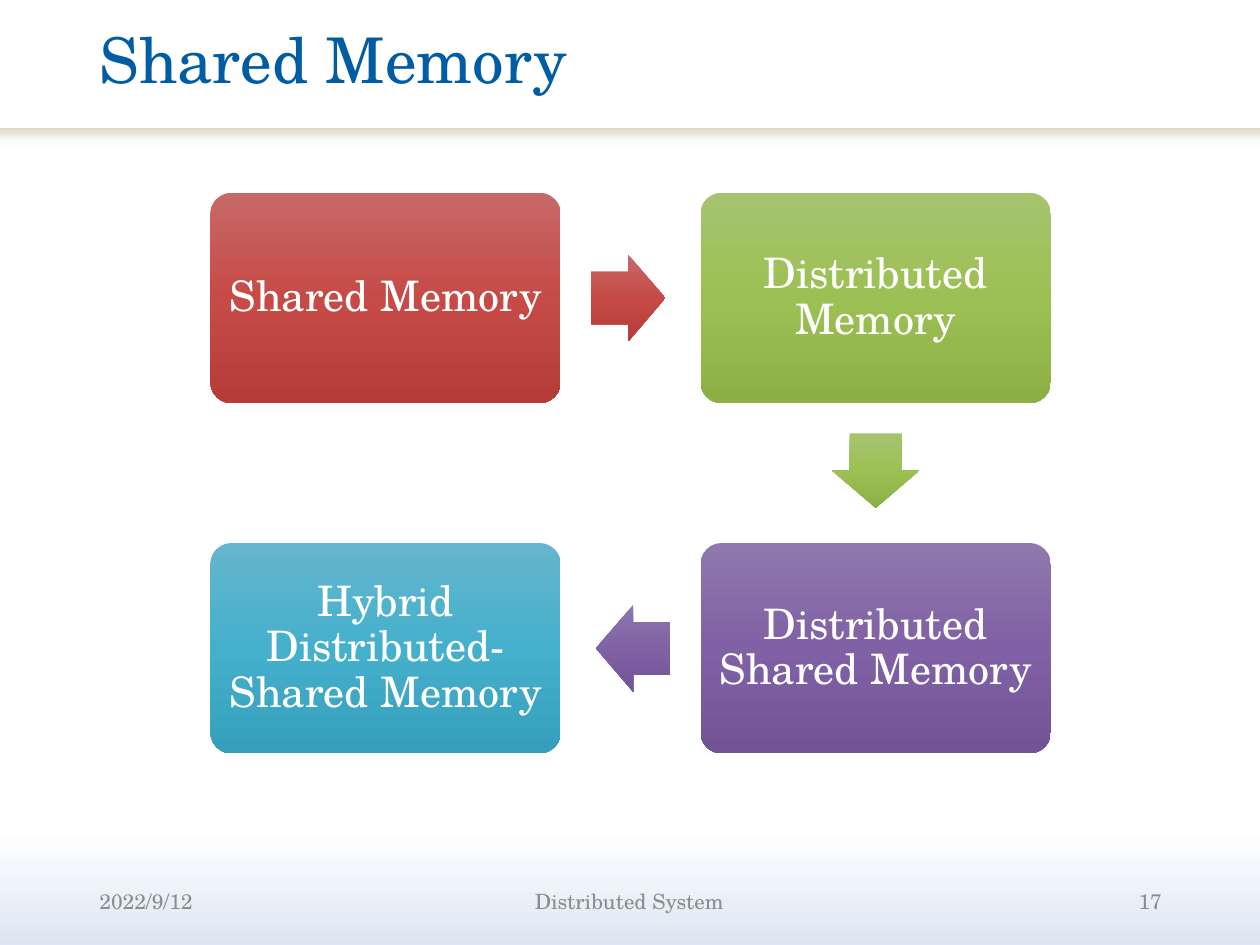
"""Build the Shared Memory slide: four memory models in a clockwise flow."""
import pptx
import pptx.dml.color
import pptx.enum.shapes
import pptx.enum.text
import pptx.oxml
import pptx.oxml.ns
import pptx.util

Inches = pptx.util.Inches
Shape = pptx.enum.shapes.MSO_SHAPE
Align = pptx.enum.text.PP_ALIGN
qn = pptx.oxml.ns.qn

FONT = "TeX Gyre Schola"
COLORS = {"title": "005DA3", "footer": "8C8C8C", "model": "FFFFFF"}
GRADIENTS = {
    "page": [(0, "FFFFFF"), (88, "FFFFFF"), (100, "DCE6F2")],
    "band": [(0, "FFFFFF"), (45, "FBFBFB"), (100, "DDD9C3")],
    "red": [(0, "C76967"), (50, "C64B47"), (100, "B63C39")],
    "green": [(0, "A6C36F"), (50, "9DC054"), (100, "8DB045")],
    "purple": [(0, "8E78AC"), (50, "8061A5"), (100, "715396")],
    "blue": [(0, "66B5CD"), (50, "45B0CC"), (100, "36A0BC")],
}
TITLE = "Shared Memory"
MODELS = [
    ("Shared Memory", "red", (0, 0), (1, 0)),
    ("Distributed Memory", "green", (1, 0), (0, 1)),
    ("Distributed Shared Memory", "purple", (1, 1), (-1, 0)),
    ("Hybrid Distributed-Shared Memory", "blue", (0, 1), None),
]
FOOTERS = [
    ("2022/9/12", 0.69, 2.08, Align.LEFT),
    ("Distributed System", 2.76, 4.47, Align.CENTER),
    ("17", 7.24, 2.08, Align.RIGHT),
]
ORIGIN = (1.67, 1.53)
BOX = (2.78, 1.67)
PITCH = (3.89, 2.78)
ARROW = (0.59, 0.69)
ARROW_SHIFT = 0.02
TURNS = {(1, 0): 0, (0, 1): 90, (-1, 0): 180}


def paint(fill, element, gradient, angle=90):
    fill.gradient()
    fill.gradient_angle = 360 - angle
    grad = next(element.iter(qn("a:gradFill")))
    grad.set("rotWithShape", "0")
    stops = grad.find(qn("a:gsLst"))
    for stop in list(stops):
        stops.remove(stop)
    for position, color in GRADIENTS[gradient]:
        stops.append(pptx.oxml.parse_xml(
            f'<a:gs {pptx.oxml.ns.nsdecls("a")} pos="{position * 1000}">'
            f'<a:srgbClr val="{color}"/></a:gs>'))


def add_block(slide, kind, box, gradient, angle=90):
    block = slide.shapes.add_shape(kind, *map(Inches, box))
    block.shadow.inherit = False
    block.line.fill.background()
    paint(block.fill, block._element, gradient, angle)
    return block


def write(shape, text, role, size, align, spacing=None):
    frame = shape.text_frame
    frame.text = text
    frame.word_wrap = True
    frame.auto_size = pptx.enum.text.MSO_AUTO_SIZE.NONE
    frame.vertical_anchor = pptx.enum.text.MSO_ANCHOR.MIDDLE
    paragraph = frame.paragraphs[0]
    paragraph.alignment = align
    paragraph.line_spacing = spacing
    font = paragraph.runs[0].font
    font.name = FONT
    font.size = pptx.util.Pt(size)
    font.color.rgb = pptx.dml.color.RGBColor.from_string(COLORS[role])


def add_model(slide, text, gradient, cell, direction):
    left, top = (o + c * p for o, c, p in zip(ORIGIN, cell, PITCH))
    model = add_block(slide, Shape.ROUNDED_RECTANGLE, (left, top, *BOX), gradient)
    model.adjustments[0] = 0.1
    frame = model.text_frame
    frame.margin_left = frame.margin_right = Inches(0.08)
    frame.margin_top = frame.margin_bottom = Inches(0.1)
    write(model, text, "model", 24, Align.CENTER, 0.9)
    if direction:
        corner = [start + side / 2 + d * (pitch / 2 - ARROW_SHIFT) - size / 2
                  for start, side, d, pitch, size
                  in zip((left, top), BOX, direction, PITCH, ARROW)]
        arrow = add_block(slide, Shape.RIGHT_ARROW, (*corner, *ARROW), gradient)
        arrow.adjustments[0] = 0.6
        arrow.adjustments[1] = 0.5
        arrow.rotation = TURNS[direction]


def main():
    deck = pptx.Presentation()
    deck.slide_width, deck.slide_height = Inches(10), Inches(7.5)
    slide = deck.slides.add_slide(deck.slide_layouts[5])
    paint(slide.background.fill, slide._element, "page")
    add_block(slide, Shape.RECTANGLE, (0, 1.02, 10, 0.17), "band", 270)

    title = slide.shapes.title
    title.left, title.top, title.width, title.height = map(Inches, (0.69, 0, 8.3, 1.01))
    write(title, TITLE, "title", 36, Align.LEFT, 0.9)

    for text, left, width, align in FOOTERS:
        footer = slide.shapes.add_textbox(*map(Inches, (left, 6.95, width, 0.4)))
        write(footer, text, "footer", 12, align)

    for model in MODELS:
        add_model(slide, *model)
    deck.save("out.pptx")


if __name__ == "__main__":
    main()
